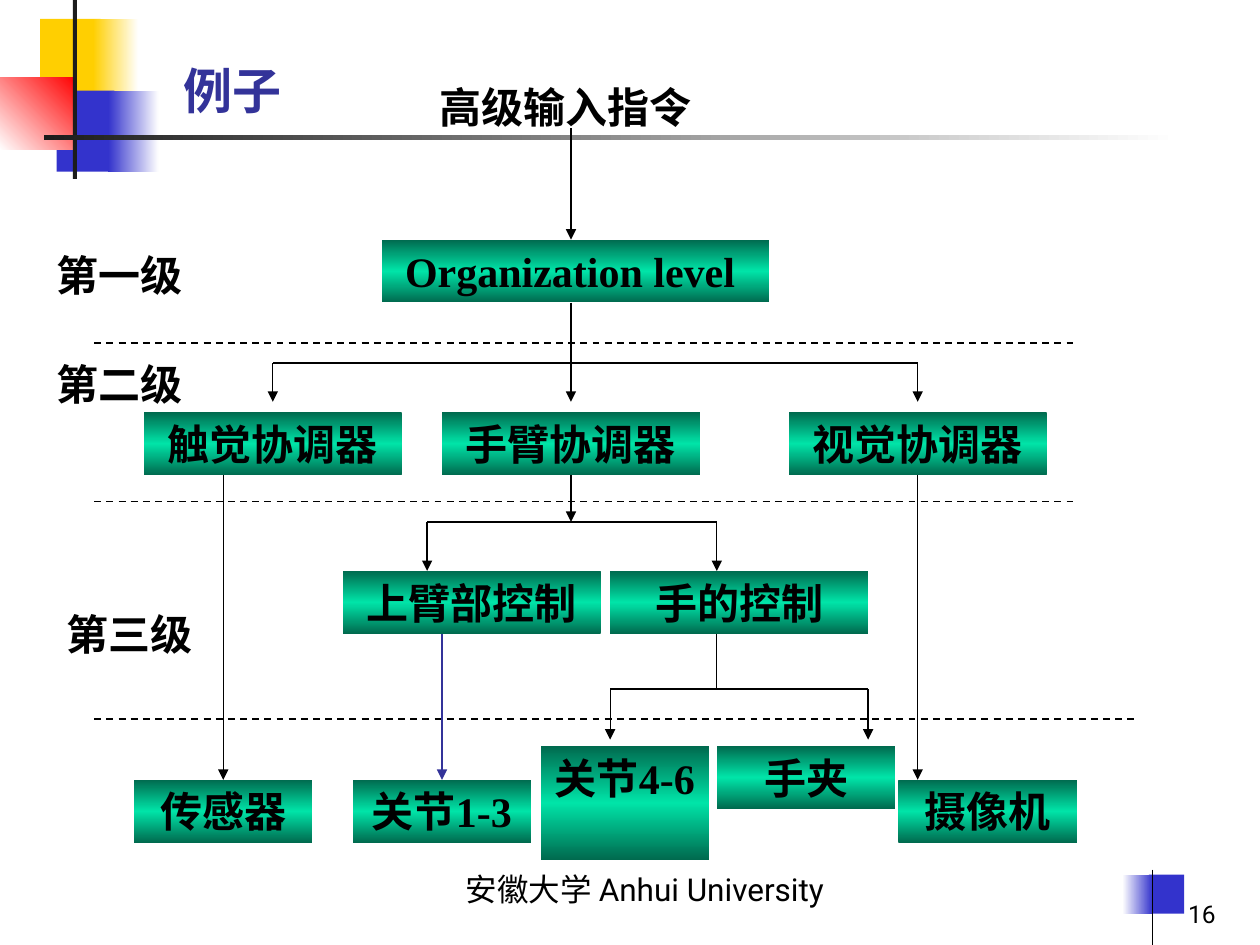
from typing import NamedTuple, Optional

from lxml import etree
from pptx import Presentation
from pptx import util as u
from pptx.dml import color
from pptx.enum import dml, shapes, text
from pptx.oxml import ns

SERIF, SANS = "Times New Roman", "Roboto"
BLACK, DARK, BLUE, NAVY = "000000", "1C1C1C", "3333CC", "333399"
GOLD, RED, WHITE = "FFCF01", "FF0000", "FFFFFF"
GREEN = ("006A4E", "00E4A8", "006A4E")
LEFT, MID, RIGHT = text.PP_ALIGN.LEFT, text.PP_ALIGN.CENTER, text.PP_ALIGN.RIGHT
TOP, BOTTOM = 0, 2  # connection sites


class Block(NamedTuple):
    """A bare rectangle; several colours make a gradient."""
    x: float
    y: float
    w: float
    h: float
    tints: tuple
    angle: int = 0


class Box(NamedTuple):
    """A labelled box of the hierarchy."""
    words: str
    x: float
    y: float
    w: float
    h: float = 1.27


class Wire(NamedTuple):
    """A straight line, with an arrowhead when tip is set."""
    x1: float
    y1: float
    x2: float
    y2: float
    tip: bool = True
    tint: str = BLACK
    start: Optional[str] = None  # box whose bottom it leaves
    stop: Optional[str] = None   # box whose top it meets


def rgb(tint: str) -> color.RGBColor:
    return color.RGBColor.from_string(tint)


def paint(shape, tints: tuple, angle: int) -> None:
    """Fill with one colour or evenly spaced gradient stops."""
    if len(tints) == 1:
        shape.fill.solid()
        shape.fill.fore_color.rgb = rgb(tints[0])
        return
    shape.fill.gradient()
    shape.fill.gradient_angle = -angle % 360
    stops = shape._element.spPr.find(".//" + ns.qn("a:gsLst"))
    for old in list(stops):
        stops.remove(old)
    for i, tint in enumerate(tints):
        stop = etree.SubElement(stops, ns.qn("a:gs"), pos=str(100000 * i // (len(tints) - 1)))
        etree.SubElement(stop, ns.qn("a:srgbClr"), val=tint)


def block(slide, part: Block):
    shape = slide.shapes.add_shape(
        shapes.MSO_SHAPE.RECTANGLE, *map(u.Cm, part[:4]))
    shape.shadow.inherit = False
    shape.line.fill.background()
    paint(shape, part.tints, part.angle)
    return shape


def write(shape, words: str, size: float, align, font: str = SERIF,
          tint: str = BLACK, bold: bool = True, low: bool = False) -> None:
    frame = shape.text_frame
    frame.word_wrap = True
    frame.vertical_anchor = text.MSO_ANCHOR.BOTTOM if low else text.MSO_ANCHOR.TOP
    para = frame.paragraphs[0]
    para.alignment = align
    run = para.add_run()
    run.text = words
    run.font.size, run.font.name, run.font.bold = u.Pt(size), font, bold
    run.font.color.rgb = rgb(tint)


def label(slide, part: Box, size: float = 24, align=LEFT, **style) -> None:
    area = slide.shapes.add_textbox(*map(u.Cm, part[1:]))
    write(area, part.words, size, align, **style)


def wire(slide, part: Wire, boxes: dict, dash: bool = False) -> None:
    line = slide.shapes.add_connector(
        shapes.MSO_CONNECTOR.STRAIGHT, *map(u.Cm, part[:4]))
    if part.start:
        line.begin_connect(boxes[part.start], BOTTOM)
    if part.stop:
        line.end_connect(boxes[part.stop], TOP)
    line.line.color.rgb = rgb(part.tint)
    line.line.width = u.Pt(1 if dash else 0.75)
    if dash:
        line.line.dash_style = dml.MSO_LINE.DASH
    if part.tip:
        etree.SubElement(line.line._get_or_add_ln(), ns.qn("a:tailEnd"), type="triangle")
    etree.SubElement(line._element.spPr, ns.qn("a:effectLst"))


def fork(left: float, right: float, top: float, end: float) -> list:
    """A crossbar with an arrow down from each end."""
    return [Wire(left, top, right, top, tip=False),
            Wire(left, top, left, end), Wire(right, top, right, end)]


DECOR = [
    Block(0.81, 0.38, 1.22, 1.63, (GOLD,)),
    Block(1.88, 0.38, 0.91, 1.63, (GOLD, WHITE)),
    Block(1.14, 1.83, 1.17, 1.63, (BLUE,)),
    Block(2.18, 1.83, 1.02, 1.63, (BLUE, WHITE)),
    Block(0, 1.57, 1.55, 1.45, (WHITE, RED), 315),
    Block(1.47, 0, 0.08, 3.61, (DARK,)),
    Block(0.89, 2.72, 22.86, 0.1, (DARK, WHITE)),
    Block(23.16, 17.63, 0.71, 0.79, (BLUE,)),
    Block(22.63, 17.63, 0.61, 0.79, (WHITE, BLUE)),
]
CORNER = Wire(23.24, 17.53, 23.24, 19.05, tip=False)

HEAD, PAIR, BASE = 8.31, 11.51, 15.72  # row tops
BOXES = [
    Box("Organization level ", 7.7, 4.83, 7.8),
    Box("触觉协调器", 2.9, HEAD, 5.2),
    Box("手臂协调器", 8.91, HEAD, 5.2),
    Box("视觉协调器", 15.9, HEAD, 5.2),
    Box("上臂部控制", 6.91, PAIR, 5.2),
    Box("手的控制", 12.3, PAIR, 5.2),
    Box("传感器", 2.7, BASE, 3.6),
    Box("关节1-3", 7.11, BASE, 3.6),
    Box("关节4-6", 10.9, 15.04, 3.4, 2.29),
    Box("手夹", 14.45, 15.04, 3.6),
    Box("摄像机", 18.11, BASE, 3.6),
]
LABELS = [
    Box("高级输入指令", 8.61, 1.52, 5.8),
    Box("第一级", 0.89, 4.9, 3.6),
    Box("第二级", 0.89, 7.11, 3.6),
    Box("第三级", 1.09, 12.14, 3.6),
]
SPLITS = [Wire(1.9, y, end, y, tip=False)
          for y, end in ((6.91, 21.7), (10.11, 21.7), (14.5, 22.91))]
WIRES = [
    Wire(11.51, 2.59, 11.51, 4.83),
    Wire(11.51, 6.1, 11.51, 8.1),
    *fork(5.5, 18.5, 7.32, 8.1),
    Wire(11.51, 9.58, 11.51, 10.52, start="手臂协调器"),
    *fork(8.61, 14.45, 10.52, PAIR),
    Wire(4.5, 9.58, 4.5, BASE, stop="传感器"),
    Wire(8.91, 12.78, 8.91, BASE, tint=NAVY, stop="关节1-3"),
    Wire(14.45, 12.78, 14.45, 13.89, tip=False),
    *fork(12.3, 17.5, 13.89, 14.91),
    Wire(18.5, 9.58, 18.5, BASE, start="视觉协调器"),
]


def main() -> None:
    deck = Presentation()
    deck.slide_width, deck.slide_height = u.Cm(25.4), u.Cm(19.05)
    slide = deck.slides.add_slide(deck.slide_layouts[5])

    # Corner ornaments and footer
    for part in DECOR:
        block(slide, part)
    wire(slide, CORNER, {})
    small = dict(font=SANS, bold=False, low=True)
    label(slide, Box("安徽大学 Anhui University", 4.9, 17.15, 16.2), 18, MID, **small)
    label(slide, Box("16", 19.48, 17.53, 5.28, 1.32), 14, RIGHT, **small)

    # Title
    title = slide.shapes.title
    title.left, title.top, title.width, title.height = map(u.Cm, (3.45, 0.61, 4.62, 1.93))
    write(title, "例子", 28, LEFT, tint=NAVY, low=True)

    # Boxes of the hierarchy
    boxes = {}
    for part in BOXES:
        shape = block(slide, Block(*part[1:], GREEN, 90))
        write(shape, part.words, 24, MID)
        boxes[part.words] = shape

    # Level names, dividers and arrows
    for part in LABELS:
        label(slide, part)
    for part in SPLITS:
        wire(slide, part, boxes, dash=True)
    for part in WIRES:
        wire(slide, part, boxes)

    deck.save("out.pptx")


if __name__ == "__main__":
    main()
